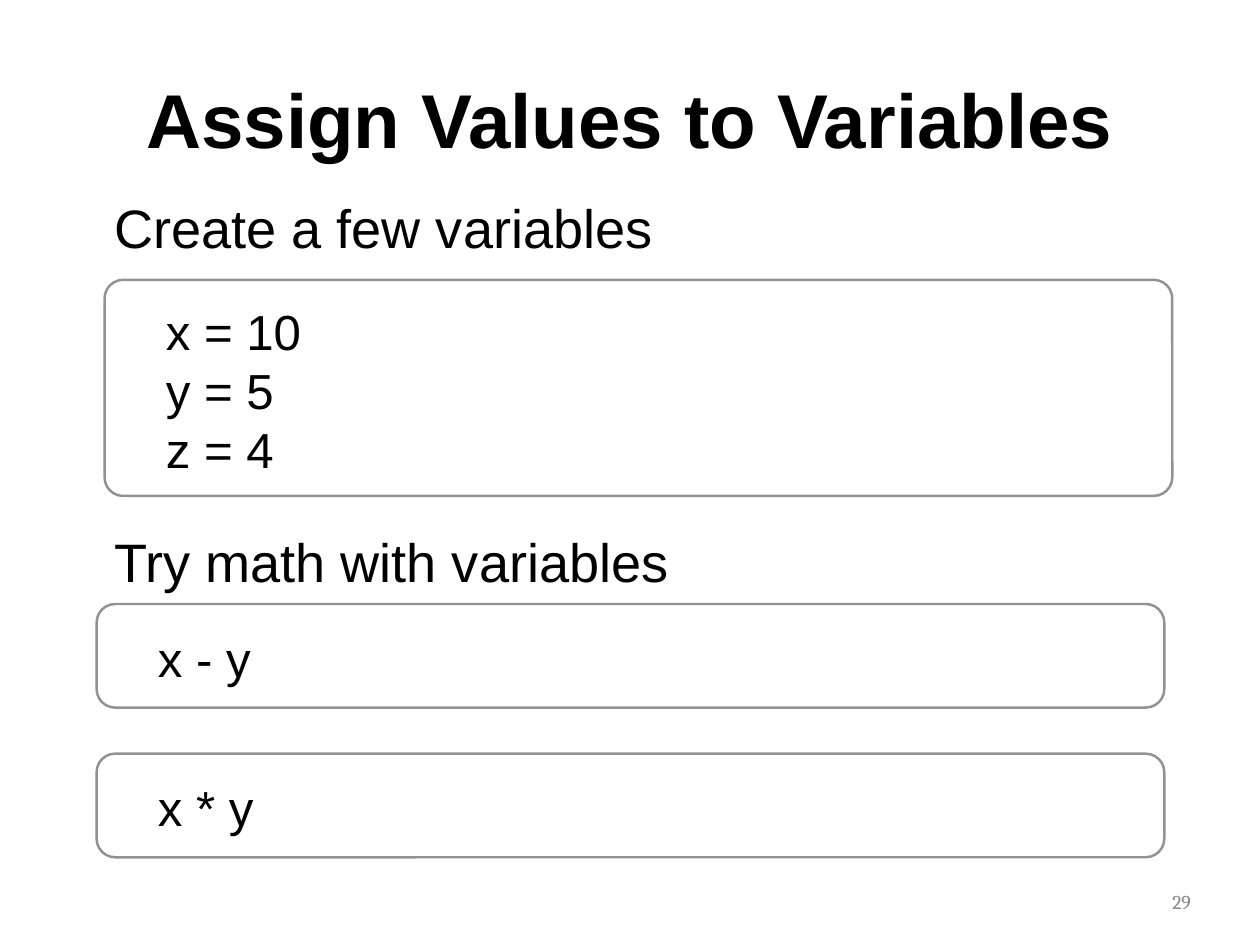
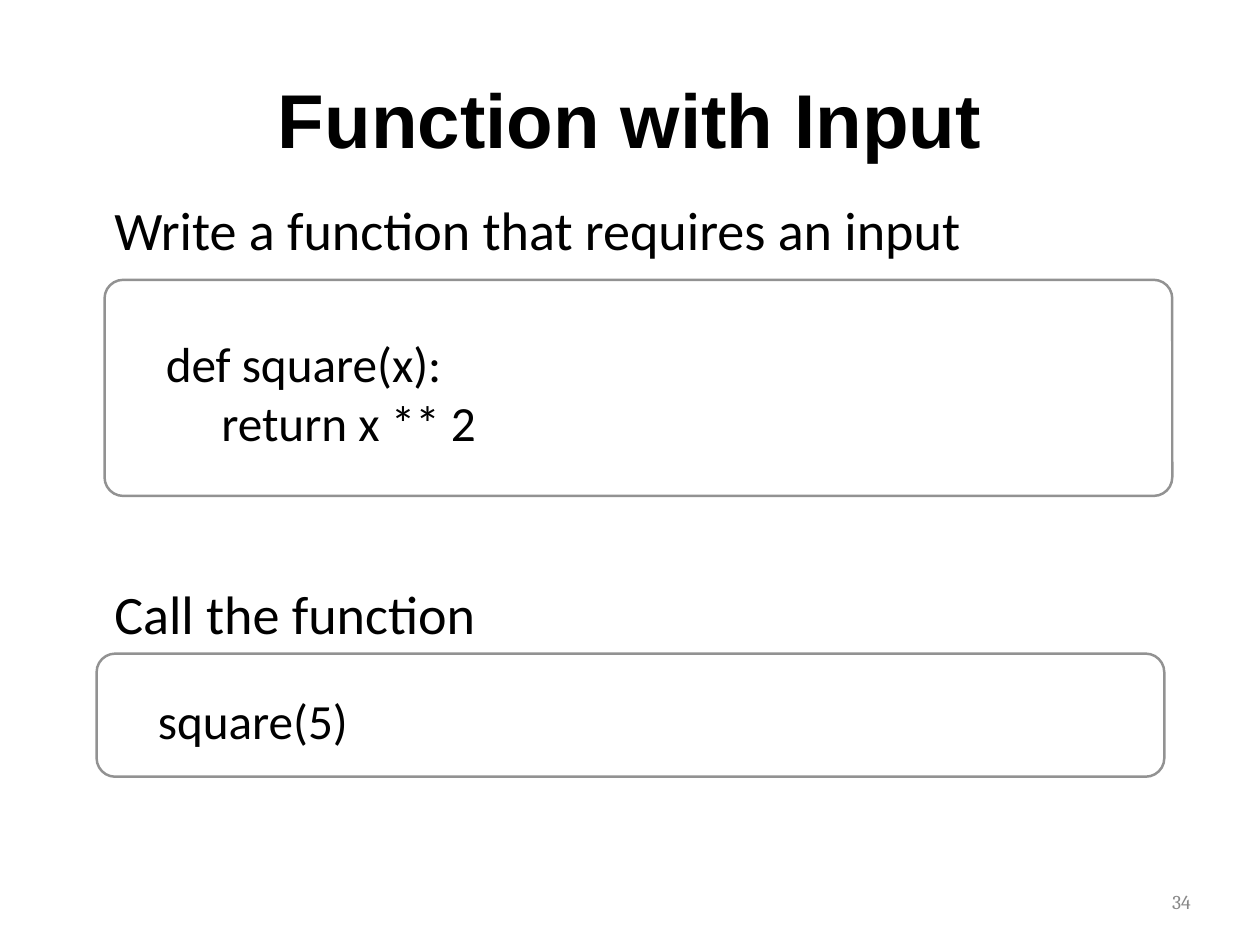
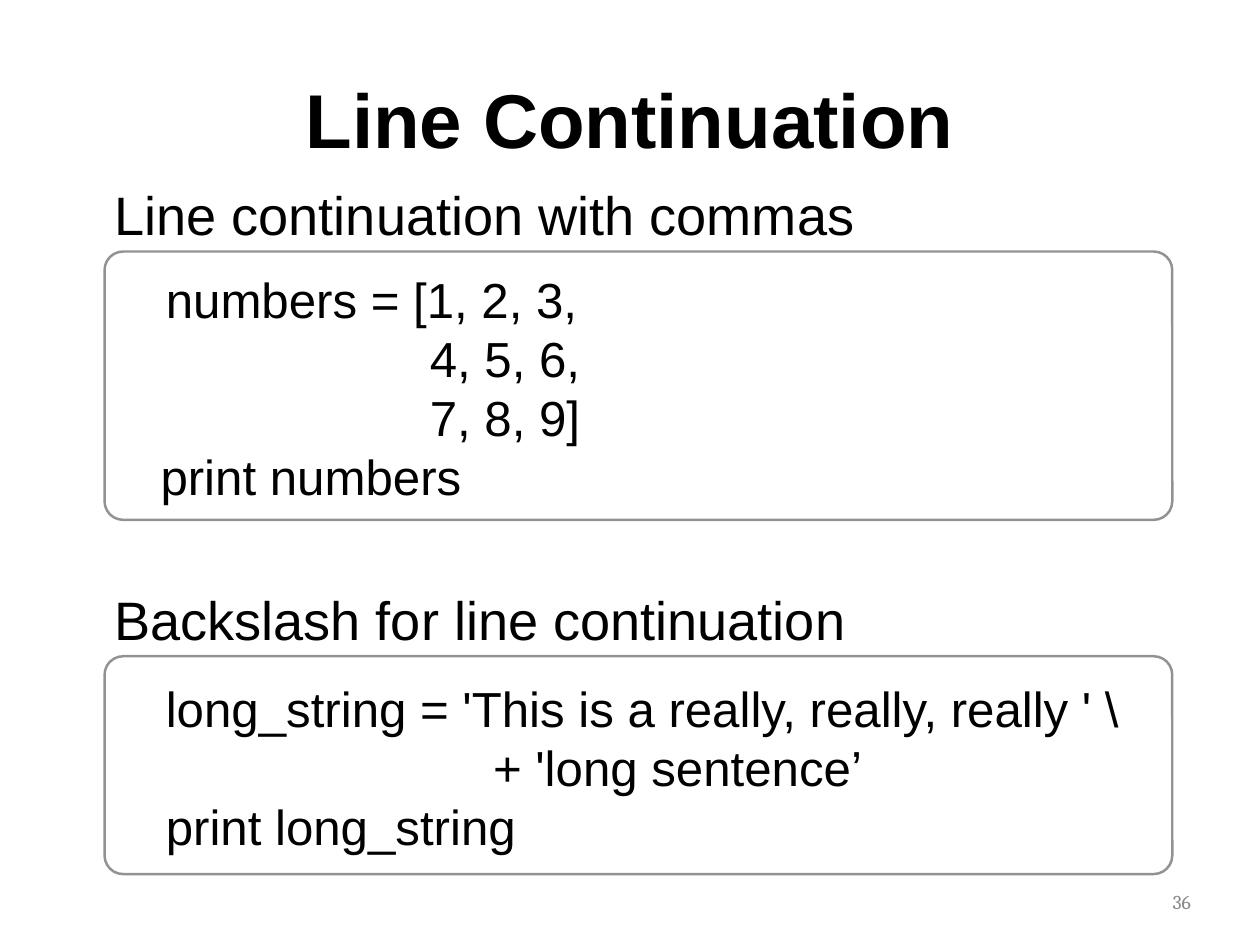
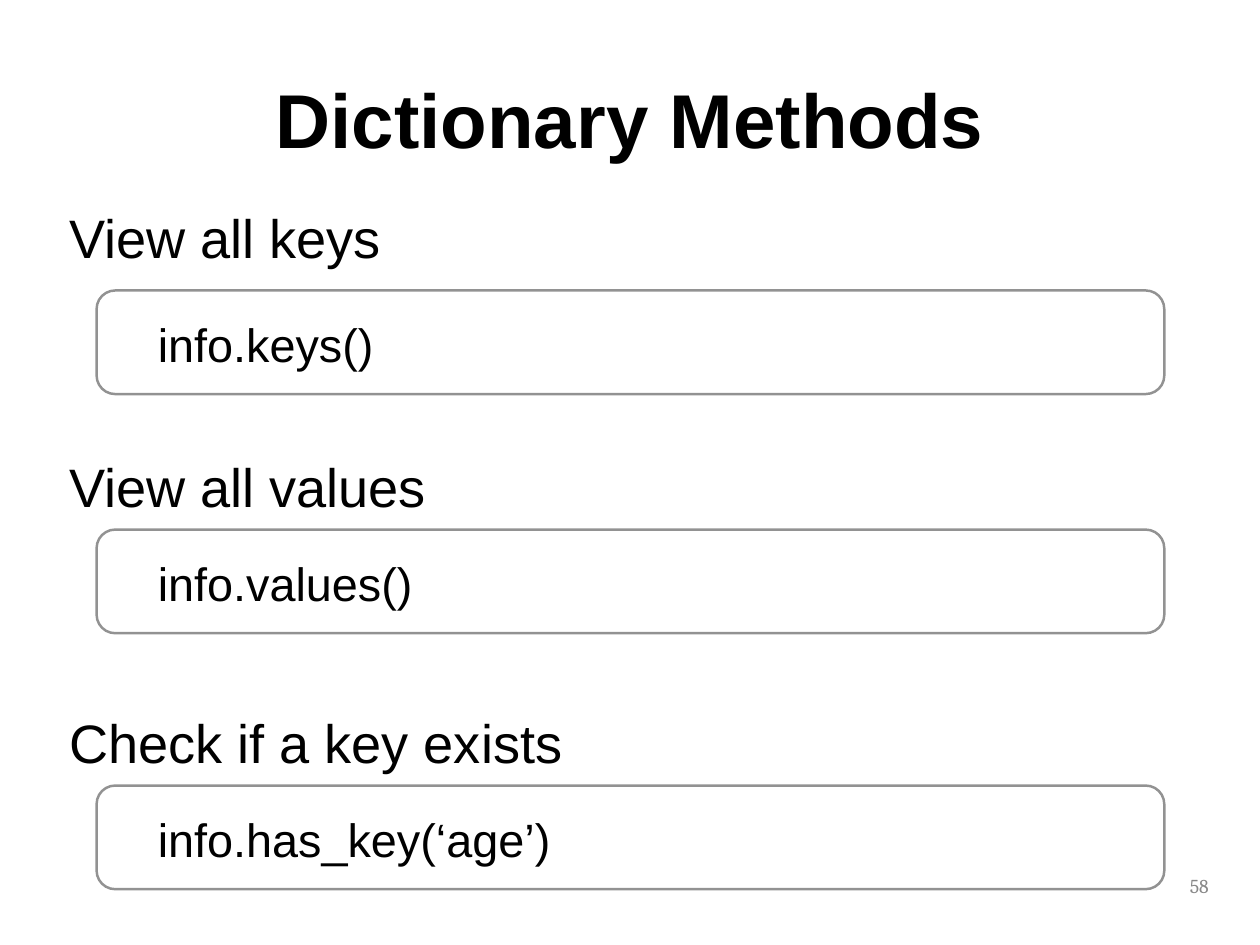
from pptx import Presentation
from pptx.dml.color import RGBColor
from pptx.enum.shapes import MSO_SHAPE
from pptx.enum.text import MSO_ANCHOR as Anchor, PP_ALIGN as Align
from pptx.util import Pt

PX = 9144  # EMU per px, at 100 px to the inch
COLORS = {"text": "000000", "border": "929292", "number": "888888"}
INSET = 7
CORNER = 21
CODE_INDENT = 56
LINE_HEIGHT = 1.2
BASELINE_DROP = {"Arial": 2, "Calibri": 5, "Cambria": 0}

STYLES = {
    "title": {"size": 62, "bold": True, "anchor": Anchor.MIDDLE, "align": Align.CENTER},
    "heading": {"size": 44, "anchor": Anchor.TOP, "align": Align.LEFT},
    "code": {"size": 40, "anchor": Anchor.MIDDLE, "align": Align.LEFT},
    "small code": {"size": 38, "anchor": Anchor.MIDDLE, "align": Align.LEFT},
    "number": {"size": 16, "color": "number", "anchor": Anchor.MIDDLE, "align": Align.RIGHT},
}

# Headings are (left, top, width, text).
# Code boxes are (left, top, height, lines); a line may be (text, indent).
SLIDES = [
    {
        "title": "Assign Values to Variables",
        "number": "29",
        "headings": [
            (122, 210, 1177, "Create a few variables"),
            (122, 588, 1177, "Try math with variables"),
        ],
        "boxes": [
            (118, 316, 244, ["x = 10", "y = 5", "z = 4"]),
            (109, 682, 117, ["x - y"]),
            (109, 851, 117, ["x * y"]),
        ],
    },
    {
        "title": "Function with Input",
        "number": "34",
        "font": "Calibri",
        "headings": [
            (122, 210, 1177, "Write a function that requires an input"),
            (122, 643, 1177, "Call the function"),
        ],
        "boxes": [
            (118, 316, 244, ["def square(x):", "     return x ** 2"]),
            (109, 738, 139, ["square(5)"]),
        ],
    },
    {
        "title": "Line Continuation",
        "number": "36",
        "headings": [
            (122, 196, 1177, "Line continuation with commas"),
            (122, 653, 1177, "Backslash for line continuation"),
        ],
        "boxes": [
            (118, 284, 303, [
                "numbers = [1, 2, 3,",
                ("          4, 5, 6,", 200),
                ("          7, 8, 9]", 200),
                ("print numbers", 50),
            ]),
            (118, 741, 246, [
                "long_string = 'This is a really, really, really ' \\",
                "                        + 'long sentence’",
                "print long_string",
            ]),
        ],
    },
    {
        "title": "Dictionary Methods",
        "number": "58",
        "number at": (1039, 980),
        "code style": "small code",
        "headings": [
            (71, 222, 1280, "View all keys"),
            (71, 503, 1280, "View all values"),
            (71, 792, 1280, "Check if a key exists"),
        ],
        "boxes": [
            (109, 328, 117, ["info.keys()"]),
            (109, 598, 117, ["info.values()"]),
            (109, 887, 117, ["info.has_key(‘age’)"]),
        ],
    },
]


def write(shape, lines, style_name, font_name="Arial", indent=0):
    """Fill a shape with one paragraph a line; a (text, indent) line sets its own indent."""
    style = STYLES[style_name]
    drop = BASELINE_DROP[font_name]
    frame_format = {
        "word_wrap": True,
        "vertical_anchor": style["anchor"],
        "margin_left": INSET * PX,
        "margin_right": INSET * PX,
        "margin_top": (INSET + drop) * PX,
        "margin_bottom": (INSET - drop) * PX,
    }
    font_format = {
        "name": font_name,
        "size": Pt(style["size"]),
        "bold": style.get("bold", False),
    }
    frame = shape.text_frame
    for name, value in frame_format.items():
        setattr(frame, name, value)
    for index, line in enumerate(lines):
        text, line_indent = line if isinstance(line, tuple) else (line, indent)
        paragraph = frame.paragraphs[0] if index == 0 else frame.add_paragraph()
        paragraph.alignment = style["align"]
        paragraph.line_spacing = Pt(style["size"] * LINE_HEIGHT)
        paragraph._p.get_or_add_pPr().set("marL", str(line_indent * PX))
        run = paragraph.add_run()
        run.text = text
        for name, value in font_format.items():
            setattr(run.font, name, value)
        run.font.color.rgb = RGBColor.from_string(COLORS[style.get("color", "text")])


def add_text(slide, box, text, style_name, font_name="Arial"):
    shape = slide.shapes.add_textbox(*(length * PX for length in box))
    write(shape, [text], style_name, font_name)


presentation = Presentation()
presentation.slide_width = 1422 * PX
presentation.slide_height = 1067 * PX

for content in SLIDES:
    slide = presentation.slides.add_slide(presentation.slide_layouts[6])
    font_name = content.get("font", "Arial")
    add_text(slide, (71, 14, 1280, 235), content["title"], "title")

    for left, top, width, text in content["headings"]:
        add_text(slide, (left, top, width, 88), text, "heading", font_name)

    for left, top, height, lines in content["boxes"]:
        code_box = slide.shapes.add_shape(
            MSO_SHAPE.ROUNDED_RECTANGLE, left * PX, top * PX, 1205 * PX, height * PX)
        code_box.adjustments[0] = CORNER / height
        code_box.shadow.inherit = False
        code_box.fill.background()
        code_box.line.color.rgb = RGBColor.from_string(COLORS["border"])
        code_box.line.width = Pt(2)
        write(code_box, lines, content.get("code style", "code"), font_name, CODE_INDENT)

    number_left, number_top = content.get("number at", (1019, 997))
    add_text(slide, (number_left, number_top, 332, 41), content["number"], "number", "Cambria")

presentation.save("out.pptx")
